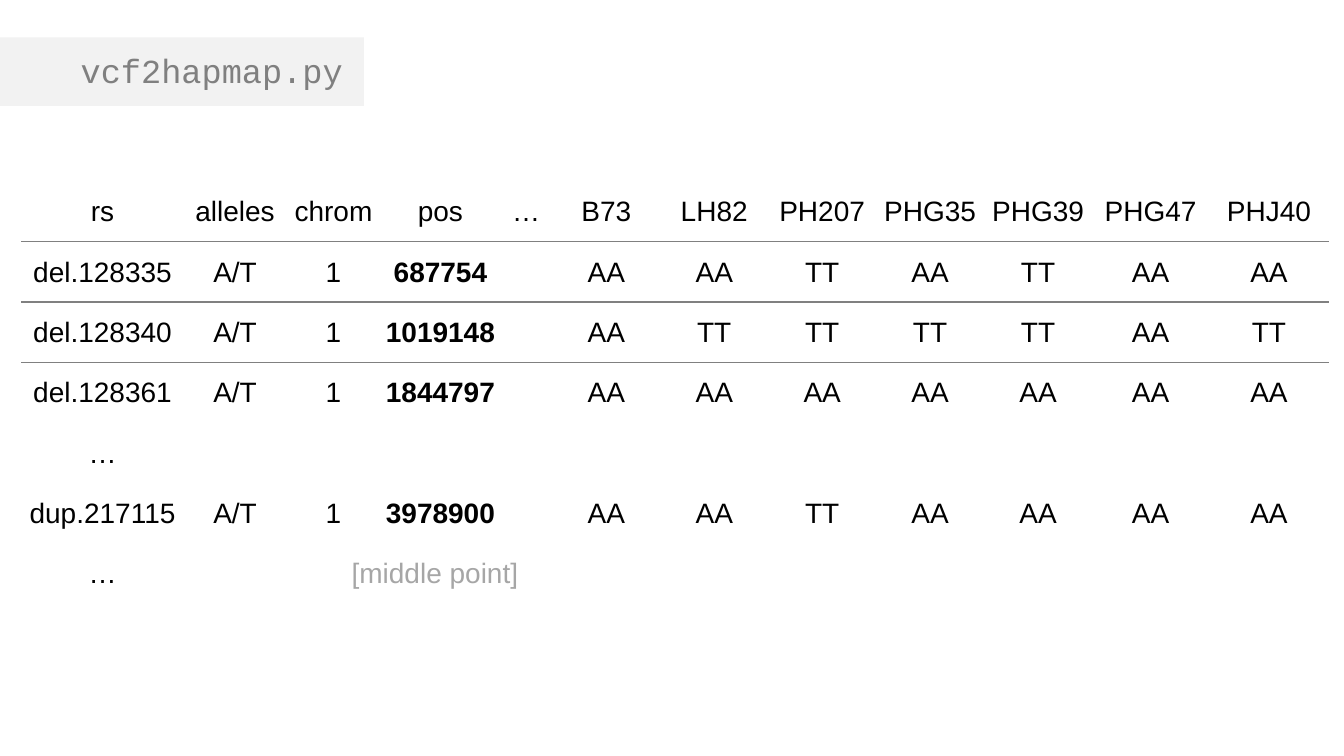
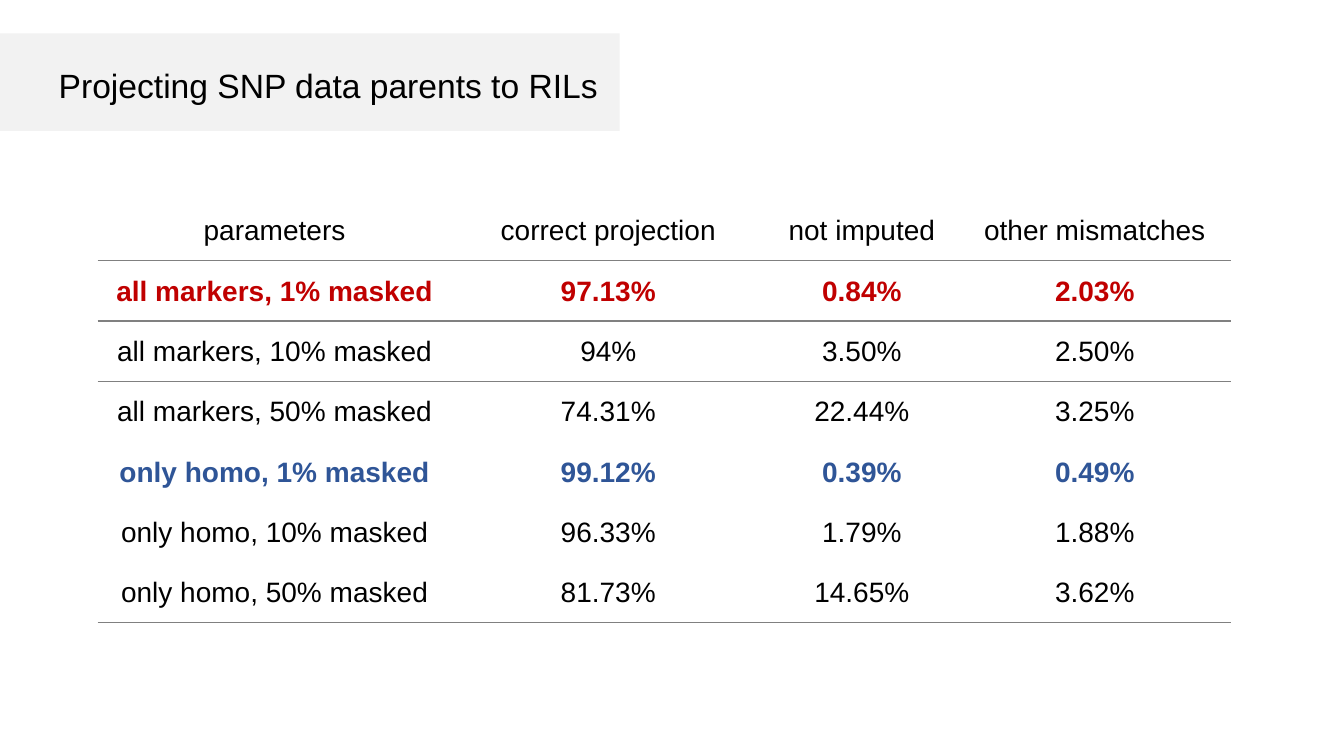
from dataclasses import dataclass

from lxml import etree
from pptx import Presentation
from pptx.dml.color import RGBColor
from pptx.enum import shapes, text
from pptx.oxml.ns import qn
from pptx.util import Cm, Pt


@dataclass(frozen=True)
class Theme:
    sans: str = "Arial"
    mono: str = "Courier New"
    ink: str = "000000"
    gray: str = "808080"
    pale: str = "A6A6A6"
    band: str = "F2F2F2"
    red: str = "C00000"
    blue: str = "2F5597"
    head: int = 24
    body: int = 20
    rule: int = 1


T = Theme()
PLAIN = "{2D5ABB26-0587-4C30-8999-92F81FD0307C}"  # no style, no grid
ROW = 1.52
INSET = 0.03

# Lengths are in centimetres; boxes are left, top, width, height.
# "rules" lists the rows with a line below them.
SLIDES = [
    dict(
        title="vcf2hapmap.py", font=T.mono, color=T.gray,
        band=(0, 0.94, 9.17, 1.73), head=(0, 1.14, 8.89, 1.27),
        origin=(0.53, 4.57),
        widths=[4.11, 2.57, 2.39, 3, 1.32] + [2.72] * 5 + [2.95, 3.02],
        rows=[
            ["rs", "alleles", "chrom", "pos", "…", "B73", "LH82", "PH207",
             "PHG35", "PHG39", "PHG47", "PHJ40"],
            ["del.128335", "A/T", "1", "687754", "",
             "AA", "AA", "TT", "AA", "TT", "AA", "AA"],
            ["del.128340", "A/T", "1", "1019148", "",
             "AA", "TT", "TT", "TT", "TT", "AA", "TT"],
            ["del.128361", "A/T", "1", "1844797", "",
             "AA", "AA", "AA", "AA", "AA", "AA", "AA"],
            ["…"],
            ["dup.217115", "A/T", "1", "3978900", "",
             "AA", "AA", "TT", "AA", "AA", "AA", "AA"],
            ["…"],
        ],
        rules=[0, 1], strong=3, marks={},
        note=("[middle point]", (8.61, 13.87, 4.95, 1.12)),
    ),
    dict(
        title="Projecting SNP data parents to RILs", font=T.sans, color=T.ink,
        band=(0, 0.84, 15.62, 2.46), head=(0, 1.52, 15.32, 1.27),
        origin=(2.46, 5.05),
        widths=[8.92, 7.9, 4.88, 6.86],
        rows=[
            ["parameters", "correct projection", "not imputed",
             "other mismatches"],
            ["all markers, 1% masked", "97.13%", "0.84%", "2.03%"],
            ["all markers, 10% masked", "94%", "3.50%", "2.50%"],
            ["all markers, 50% masked", "74.31%", "22.44%", "3.25%"],
            ["only homo, 1% masked", "99.12%", "0.39%", "0.49%"],
            ["only homo, 10% masked", "96.33%", "1.79%", "1.88%"],
            ["only homo, 50% masked", "81.73%", "14.65%", "3.62%"],
        ],
        rules=[0, 1, 6], strong=None, marks={1: T.red, 4: T.blue},
        note=None,
    ),
]


def cms(box):
    return [Cm(n) for n in box]


def write(frame, words, size, color, font=T.sans, bold=False,
          align=text.PP_ALIGN.LEFT):
    frame.text = words
    para = frame.paragraphs[0]
    para.alignment = align
    for run in para.runs:
        run.font.name, run.font.size, run.font.bold = font, Pt(size), bold
        run.font.color.rgb = RGBColor.from_string(color)


def add_head(slide, data):
    """Format the title and lay its band behind it."""
    band = slide.shapes.add_shape(shapes.MSO_SHAPE.RECTANGLE,
                                  *cms(data["band"]))
    band.shadow.inherit = False
    band.fill.solid()
    band.fill.fore_color.rgb = RGBColor.from_string(T.band)
    band.line.fill.background()
    title = slide.shapes.title
    title._element.addprevious(band._element)
    title.left, title.top, title.width, title.height = cms(data["head"])
    frame = title.text_frame
    write(frame, data["title"], T.head, data["color"], data["font"],
          align=text.PP_ALIGN.RIGHT)
    frame.auto_size = text.MSO_AUTO_SIZE.NONE
    frame.vertical_anchor = text.MSO_ANCHOR.MIDDLE


def add_rules(cell, edges):
    """Draw the given edges of a cell, named in schema order."""
    props = cell._tc.get_or_add_tcPr()
    for at, edge in enumerate(edges):
        line = etree.Element(qn("a:" + edge), w=str(Pt(T.rule)))
        fill = etree.SubElement(line, qn("a:solidFill"))
        etree.SubElement(fill, qn("a:srgbClr"), val=T.gray)
        props.insert(at, line)


def add_grid(slide, data):
    rows, widths, rules = data["rows"], data["widths"], data["rules"]
    size = (sum(widths), ROW * len(rows))
    grid = slide.shapes.add_table(len(rows), len(widths),
                                  *cms(data["origin"] + size)).table
    grid.first_row = grid.horz_banding = False
    grid._tbl.tblPr.find(qn("a:tableStyleId")).text = PLAIN
    for col, width in zip(grid.columns, widths):
        col.width = Cm(width)
    for r, row in enumerate(rows):
        grid.rows[r].height = Cm(ROW)
        edges = [edge for edge, above in (("lnT", r - 1), ("lnB", r))
                 if above in rules]
        for c in range(len(widths)):
            cell = grid.cell(r, c)
            cell.fill.background()
            cell.vertical_anchor = text.MSO_ANCHOR.MIDDLE
            cell.margin_left = cell.margin_right = cell.margin_top = Cm(INSET)
            cell.margin_bottom = 0
            add_rules(cell, edges)
            if c < len(row):
                bold = r in data["marks"] or (r > 0 and c == data["strong"])
                write(cell.text_frame, row[c], T.body,
                      data["marks"].get(r, T.ink), bold=bold,
                      align=text.PP_ALIGN.CENTER)


def main():
    deck = Presentation()
    deck.slide_width, deck.slide_height = Cm(33.87), Cm(19.05)
    for data in SLIDES:
        slide = deck.slides.add_slide(deck.slide_layouts[5])
        add_head(slide, data)
        add_grid(slide, data)
        if data["note"]:
            words, box = data["note"]
            note = slide.shapes.add_textbox(*cms(box))
            write(note.text_frame, words, T.body, T.pale)
    deck.save("out.pptx")


if __name__ == "__main__":
    main()
